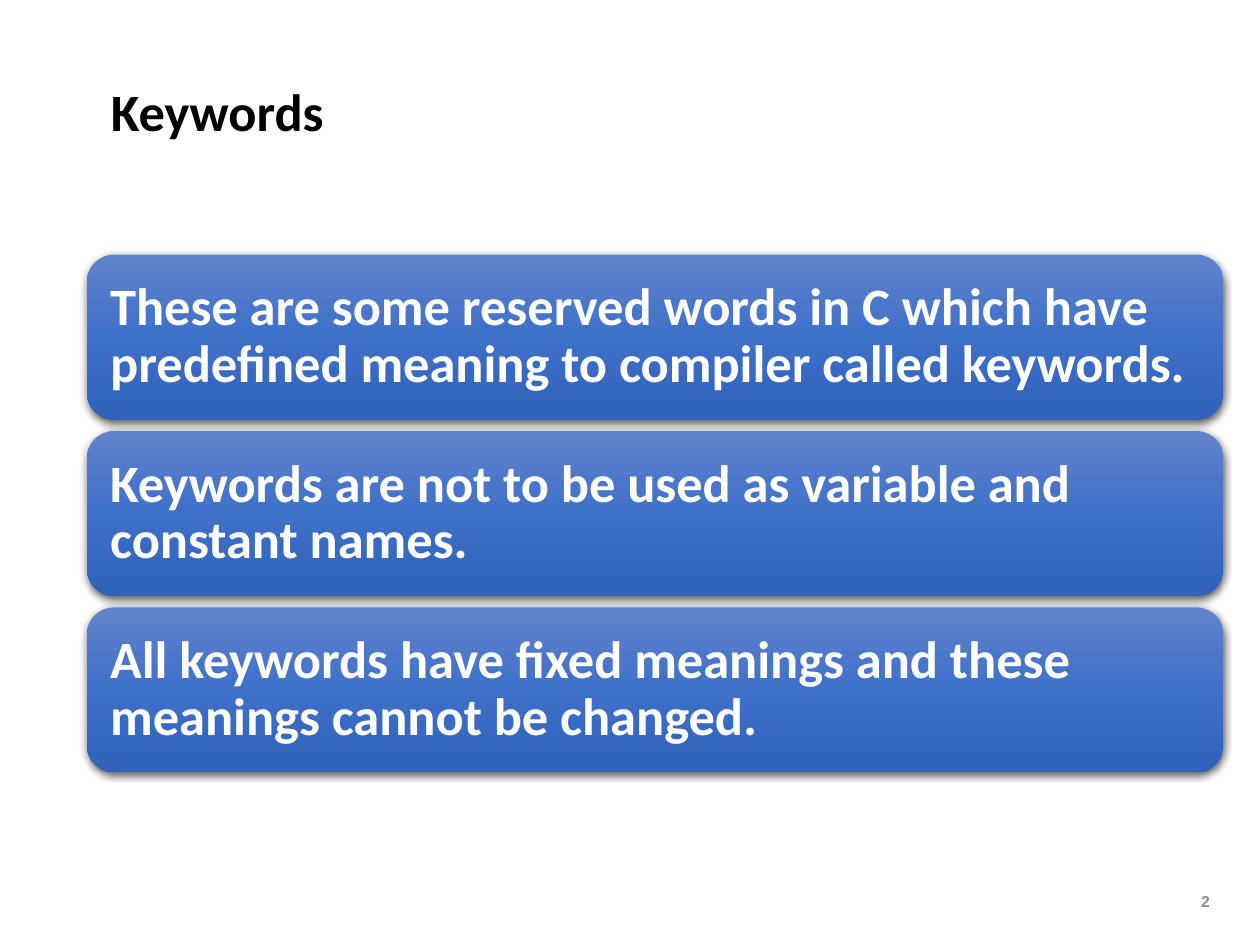
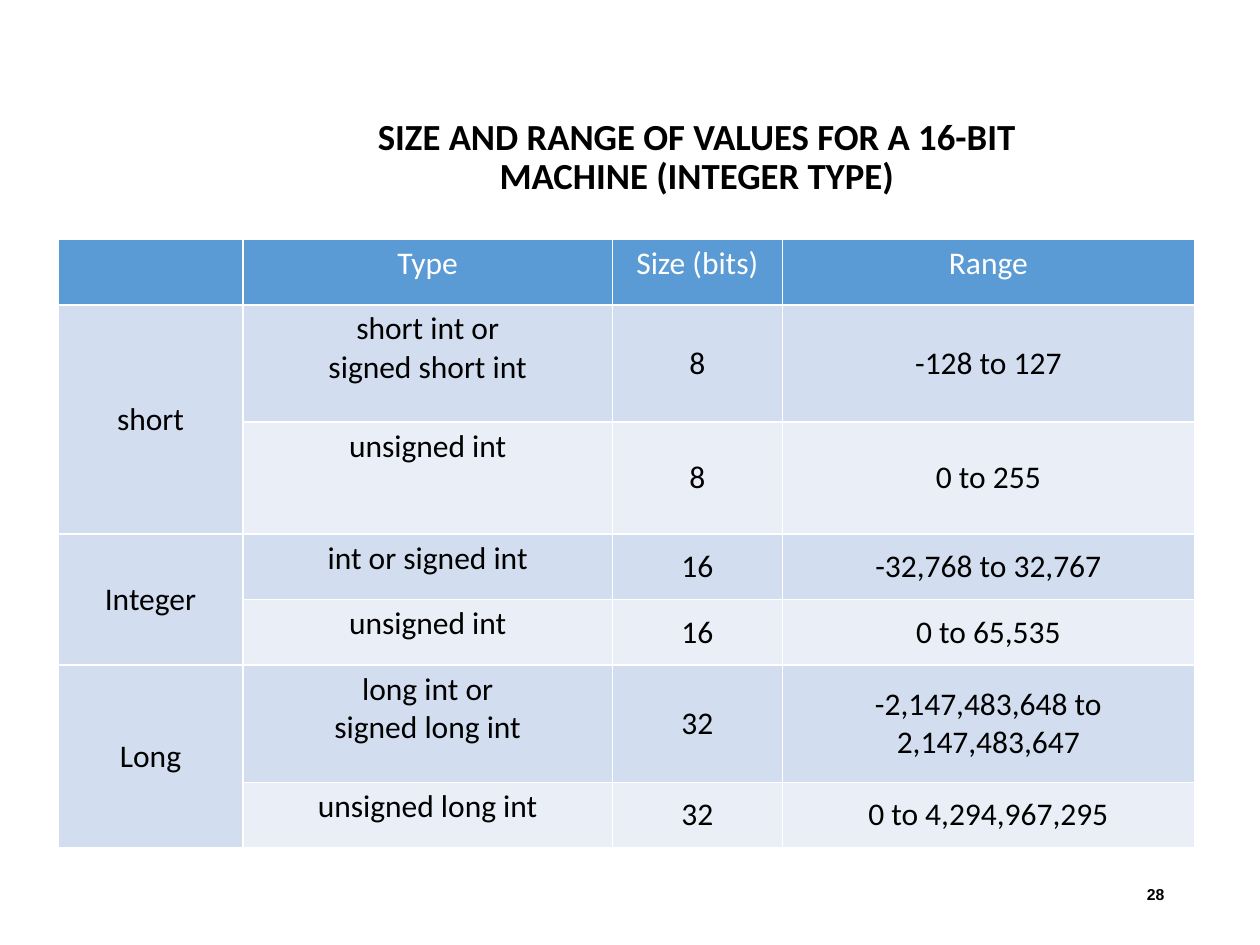
from copy import deepcopy
from dataclasses import dataclass

from lxml import etree
from pptx import Presentation
from pptx.dml.color import RGBColor
from pptx.enum.shapes import MSO_SHAPE
from pptx.enum.text import MSO_ANCHOR, PP_ALIGN
from pptx.oxml.ns import qn
from pptx.util import Inches, Pt

ROUND = MSO_SHAPE.ROUNDED_RECTANGLE
TOP, MIDDLE = MSO_ANCHOR.TOP, MSO_ANCHOR.MIDDLE
LEFT, CENTER, RIGHT = PP_ALIGN.LEFT, PP_ALIGN.CENTER, PP_ALIGN.RIGHT


@dataclass(frozen=True)
class Theme:
    body: str = "Calibri"
    foot: str = "Arial"
    black: str = "000000"
    white: str = "FFFFFF"
    gray: str = "8C8C8C"
    head: str = "5B9BD5"
    bands: tuple = ("D2DEEF", "EAEFF7")
    blues: tuple = ("6183CB", "3E70CA", "3062BB")
    large: int = 30
    title: int = 21
    cell: int = 18
    small: int = 9


def add(parent, tag, **attrs):
    return etree.SubElement(parent, qn(tag), attrs)


class Deck:
    def __init__(self, theme):
        self.theme = theme
        self.file = Presentation()
        self.file.slide_width, self.file.slide_height = Inches(10), Inches(7.5)

    def start(self):
        self.slide = self.file.slides.add_slide(self.file.slide_layouts[6])

    def label(self, frame, text, size, color, align=LEFT, bold=True, font=None, line=None):
        frame.word_wrap = True
        frame.text = text
        for para in frame.paragraphs:
            para.alignment = align
            if line:
                para.line_spacing = line
            for run in para.runs:
                run.font.name = font or self.theme.body
                run.font.size = Pt(size)
                run.font.bold = bold
                run.font.color.rgb = RGBColor.from_string(color)

    def box(self, place):
        frame = self.slide.shapes.add_textbox(*map(Inches, place)).text_frame
        frame.vertical_anchor = MIDDLE
        return frame

    def title(self, text, place, size, align=LEFT, inset=0.1):
        frame = self.box(place)
        frame.margin_left = Inches(inset)
        self.label(frame, text, size, self.theme.black, align, line=0.9)

    def number(self, text, place, color):
        self.label(self.box(place), text, self.theme.small, color, RIGHT, font=self.theme.foot)

    def card(self, text, place):
        card = self.slide.shapes.add_shape(ROUND, *map(Inches, place))
        card.line.fill.background()
        self.shade(card)
        self.shadow(card)
        frame = card.text_frame
        frame.vertical_anchor = MIDDLE
        frame.margin_left = frame.margin_right = Inches(0.12)
        frame.margin_top = frame.margin_bottom = Inches(0.12)
        self.label(frame, text, self.theme.large, self.theme.white, line=0.9)

    def shade(self, shape):
        shape.fill.gradient()
        shape.fill.gradient_angle = 270
        stops = shape.element.spPr.find(".//" + qn("a:gsLst"))
        stops.append(deepcopy(stops[0]))
        for step, (stop, blue) in enumerate(zip(shape.fill.gradient_stops, self.theme.blues)):
            stop.position = step / 2
            stop.color.rgb = RGBColor.from_string(blue)

    def shadow(self, shape):
        shape.shadow.inherit = False
        effect = shape.element.spPr.find(qn("a:effectLst"))
        outer = add(effect, "a:outerShdw", blurRad=str(Pt(4.5)), dist=str(Pt(1.5)),
                    dir="5400000", algn="ctr", rotWithShape="0")
        color = add(outer, "a:srgbClr", val=self.theme.black)
        add(color, "a:alpha", val="63000")

    def border(self, cell):
        props = cell._tc.get_or_add_tcPr()
        for side in "LRTB":
            line = add(props, "a:ln" + side, w=str(Pt(1)))
            add(add(line, "a:solidFill"), "a:srgbClr", val=self.theme.white)

    def table(self, rows, place, widths, heights):
        theme = self.theme
        size = len(rows), len(widths)
        area = (*place, sum(widths), sum(heights))
        table = self.slide.shapes.add_table(*size, *map(Inches, area)).table
        for col, width in zip(table.columns, widths):
            col.width = Inches(width)
        for row, height in zip(table.rows, heights):
            row.height = Inches(height)
        for r, row in enumerate(rows):
            for c, text in enumerate(row):
                cell = table.cell(r, c)
                cell.margin_left = cell.margin_right = Inches(0.07)
                cell.margin_top = cell.margin_bottom = Inches(0.04)
                cell.vertical_anchor = TOP if r == 0 or c == 1 else MIDDLE
                self.border(cell)
                fill = theme.bands[(r - 1) % 2] if r else theme.head
                cell.fill.solid()
                cell.fill.fore_color.rgb = RGBColor.from_string(fill)
                color = theme.black if r else theme.white
                self.label(cell.text_frame, text, theme.cell, color, CENTER, bold=False)
        for r in range(1, len(rows), 2):
            table.cell(r, 0).merge(table.cell(r + 1, 0))


CARDS = (
    "These are some reserved words in C which have predefined meaning to compiler called keywords.",
    "Keywords are not to be used as variable and constant names.",
    "All keywords have fixed meanings and these meanings cannot be changed.",
)
TYPES = (
    ("", "Type", "Size (bits)", "Range"),
    ("short", "short int or\nsigned short int", "8", "-128 to 127"),
    ("", "unsigned int", "8", "0 to 255"),
    ("Integer", "int or signed int", "16", "-32,768 to 32,767"),
    ("", "unsigned int", "16", "0 to 65,535"),
    ("Long", "long int or\nsigned long int", "32", "-2,147,483,648 to 2,147,483,647"),
    ("", "unsigned long int", "32", "0 to 4,294,967,295"),
)


def main():
    theme = Theme()
    deck = Deck(theme)

    deck.start()
    deck.title("Keywords", (0.69, 0.56, 9.02, 0.69), theme.large, inset=0.19)
    deck.number("2", (9.31, 6.95, 0.39, 0.4), theme.gray)
    for step, text in enumerate(CARDS):
        deck.card(text, (0.69, 2.02 + 1.4 * step, 9.02, 1.31))

    deck.start()
    deck.title("SIZE AND RANGE OF VALUES FOR A 16-BIT MACHINE (INTEGER TYPE)",
               (2.31, 0.88, 6.44, 0.75), theme.title, CENTER)
    deck.number("28", (5.72, 6.95, 3.62, 0.3), theme.black)
    deck.table(TYPES, (0.46, 1.9), (1.47, 2.93, 1.35, 3.27),
               (0.52, 0.93, 0.89, 0.52, 0.52, 0.93, 0.52))

    deck.file.save("out.pptx")


if __name__ == "__main__":
    main()
